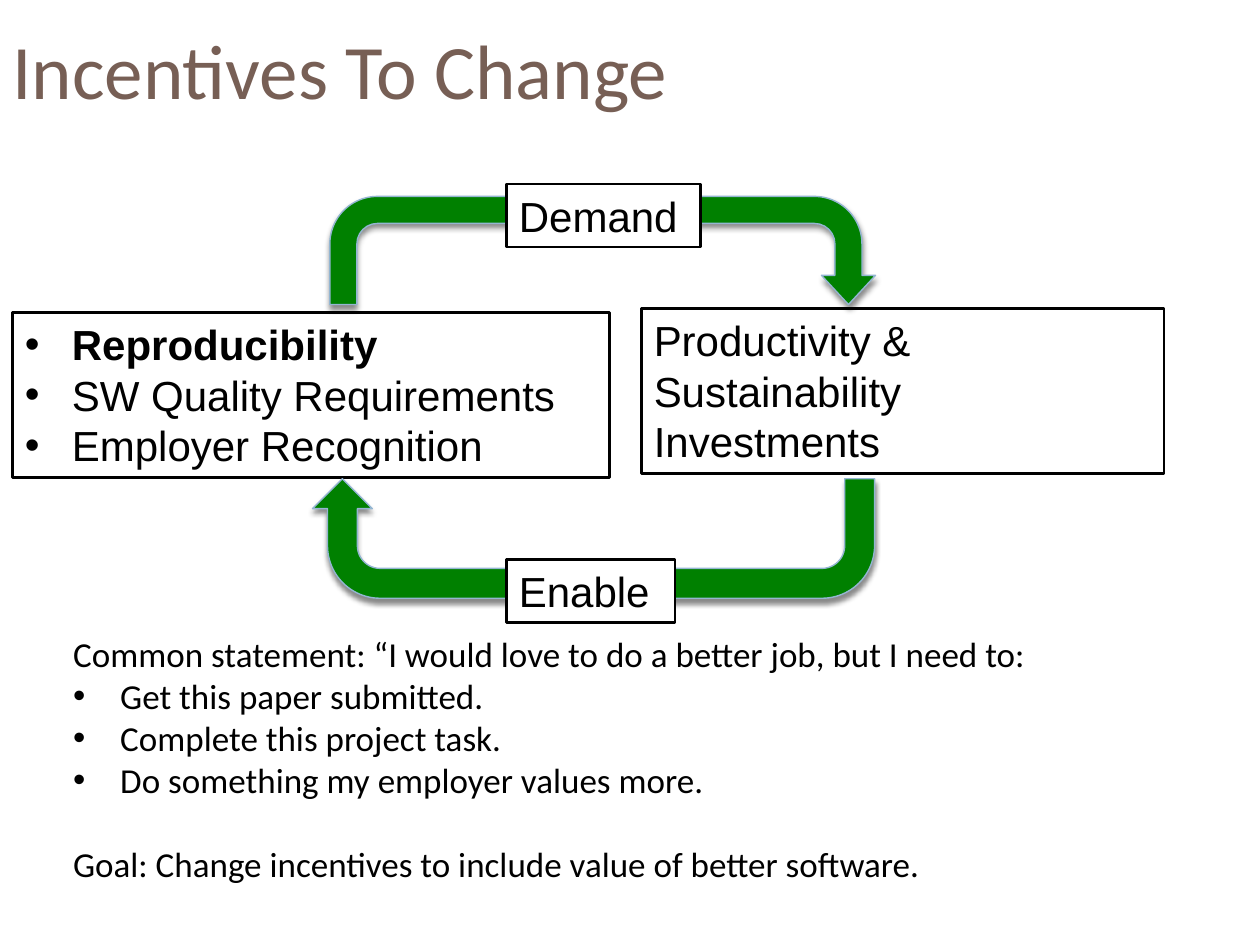
"""Build the slide on incentives to change software practice."""
from lxml import etree
from pptx import Presentation
from pptx.dml.color import RGBColor
from pptx.enum.shapes import MSO_SHAPE
from pptx.enum.text import MSO_ANCHOR, MSO_AUTO_SIZE, PP_ALIGN
from pptx.oxml.ns import qn
from pptx.util import Cm, Pt

RECT = MSO_SHAPE.RECTANGLE
UTURN = MSO_SHAPE.U_TURN_ARROW
LEFT = PP_ALIGN.LEFT
TOP, MIDDLE = MSO_ANCHOR.TOP, MSO_ANCHOR.MIDDLE
NO_FIT = MSO_AUTO_SIZE.NONE


def rgb(value):
    return RGBColor.from_string(value)


class SlideBuilder:
    black, white, brown = "000000", "FFFFFF", "775F55"
    green, blue = "008000", "94B6D2"
    head_font, box_font = "Calibri", "Arial"
    indent = Cm(0.95)

    def __init__(self, slide):
        self.s = slide

    def place(self, sp, at):
        sp.left, sp.top, sp.width, sp.height = (Cm(v) for v in at)

    def bullet(self, p, on):
        pPr = p._p.get_or_add_pPr()
        pPr.set("marL", str(self.indent if on else 0))
        pPr.set("indent", str(-self.indent if on else 0))
        if on:
            etree.SubElement(pPr, qn("a:buFont"), typeface="Arial")
            etree.SubElement(pPr, qn("a:buChar"), char="•")
        else:
            etree.SubElement(pPr, qn("a:buNone"))

    def fill_text(self, tf, lines, size, font, color, bullets=(), anchor=TOP):
        tf.text = "\n".join(lines)
        tf.word_wrap = True
        tf.auto_size = NO_FIT
        tf.vertical_anchor = anchor
        for p in tf.paragraphs:
            p.alignment = LEFT
            p.space_before = Pt(0)
            self.bullet(p, p.text in bullets)
            for r in p.runs:
                r.font.size = Pt(size)
                r.font.name = font
                r.font.color.rgb = rgb(color)

    def title(self, text, at):
        sp = self.s.shapes.title
        self.place(sp, at)
        self.fill_text(sp.text_frame, [text], 44, self.head_font, self.brown,
                       anchor=MIDDLE)

    def body(self, lines, bullets, at):
        sp = self.s.placeholders[1]
        self.place(sp, at)
        self.fill_text(sp.text_frame, lines, 20, self.head_font, self.black,
                       bullets)
        return sp.text_frame

    def shape(self, kind, at, fill, line, width):
        sp = self.s.shapes.add_shape(kind, *(Cm(v) for v in at))
        sp.shadow.inherit = False
        sp.fill.solid()
        sp.fill.fore_color.rgb = rgb(fill)
        sp.line.color.rgb = rgb(line)
        sp.line.width = Pt(width)
        return sp

    def box(self, lines, at, bullets=()):
        sp = self.shape(RECT, at, self.white, self.black, 1.5)
        self.fill_text(sp.text_frame, lines, 24, self.box_font, self.black,
                       bullets)
        return sp.text_frame

    def arrow(self, at, bend, rotation=0):
        sp = self.shape(UTURN, at, self.green, self.blue, 0.79)
        sp.rotation = rotation
        for i, value in enumerate((0.25, 0.25, bend, 0.44, 1)):
            sp.adjustments[i] = value
        effects = sp._element.spPr.find(qn("a:effectLst"))
        shadow = etree.SubElement(
            effects, qn("a:outerShdw"), blurRad=str(Pt(3)), dist=str(Pt(2.4)),
            dir="5400000", rotWithShape="0")
        color = etree.SubElement(shadow, qn("a:srgbClr"), val=self.black)
        etree.SubElement(color, qn("a:alpha"), val="45000")


def main():
    prs = Presentation()
    prs.slide_width, prs.slide_height = Cm(25.4), Cm(19.05)
    b = SlideBuilder(prs.slides.add_slide(prs.slide_layouts[1]))

    b.title("Incentives To Change", (0, 0, 22.86, 2.77))

    drivers = ["Reproducibility", "SW Quality Requirements",
               "Employer Recognition"]
    tf = b.box(drivers, (0.25, 6.3, 12.04, 3.33), drivers)
    tf.paragraphs[0].runs[0].font.bold = True
    b.box(["Productivity & \vSustainability", "Investments"],
          (12.93, 6.22, 10.54, 3.33))

    b.arrow((6.65, 3.96, 11, 2.18), 0.27)
    b.arrow((6.3, 9.65, 11.33, 2.41), 0.25, 180)
    b.box(["Demand"], (10.21, 3.71, 3.91, 1.27))
    b.box(["Enable"], (10.21, 11.28, 3.4, 1.27))

    excuses = ["Get this paper submitted.", "Complete this project task.",
               "Do something my employer values more."]
    tf = b.body(
        ["Common statement: “I would love to do a better job, but I need to:",
         *excuses,
         "Goal: Change incentives to include value of better software."],
        excuses, (1.22, 12.62, 21.18, 5.38))
    tf.paragraphs[-1].space_before = Pt(24)

    prs.save("out.pptx")


if __name__ == "__main__":
    main()
